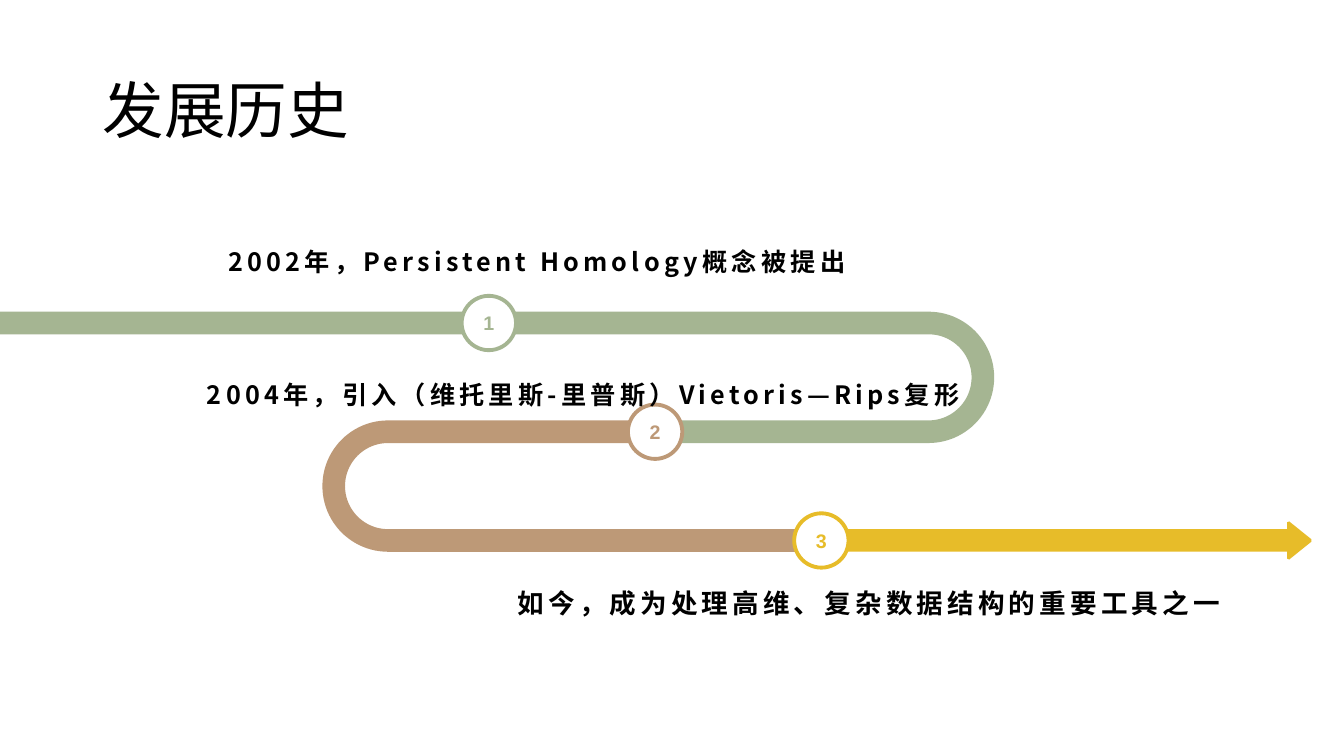
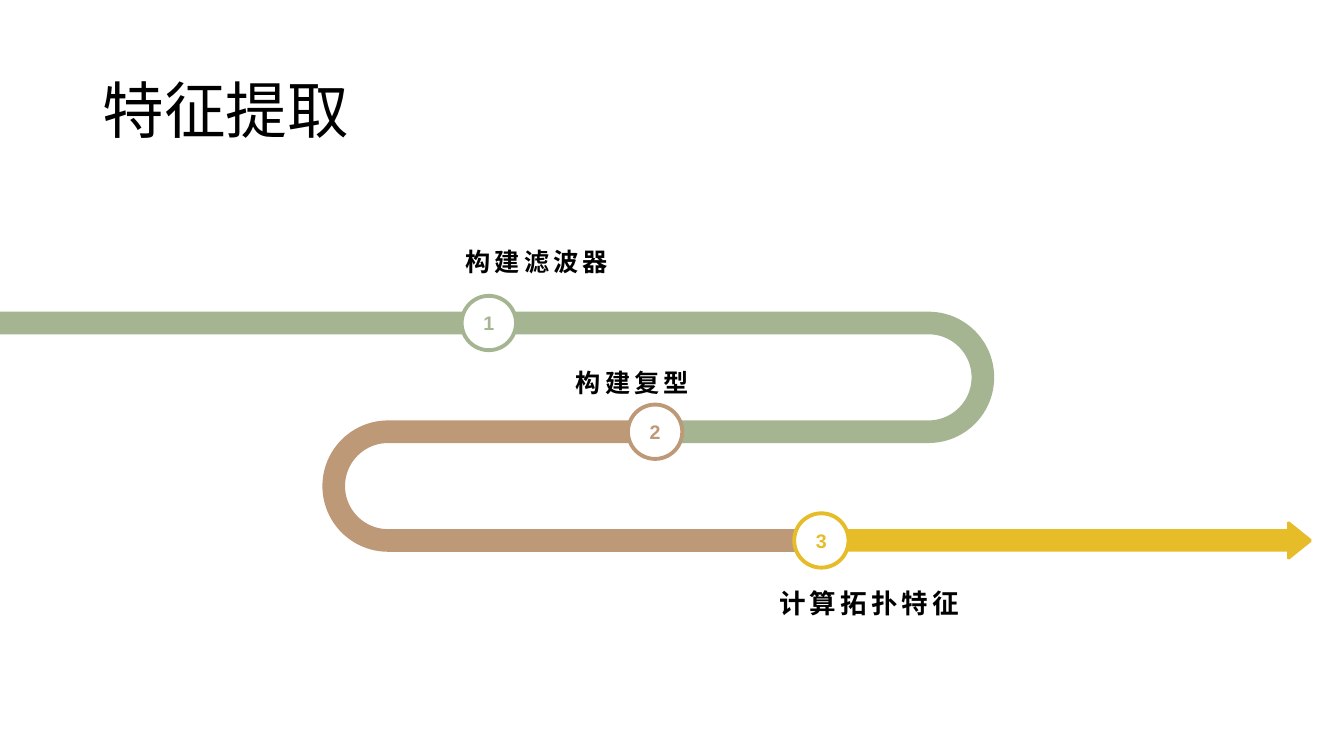
from math import cos, pi, sin

from lxml import etree
from pptx import Presentation
from pptx.dml.color import RGBColor
from pptx.enum.shapes import MSO_SHAPE
from pptx.enum.text import MSO_ANCHOR, MSO_AUTO_SIZE, PP_ALIGN
from pptx.oxml.ns import qn
from pptx.util import Cm, Pt

RECTANGLE, OVAL = MSO_SHAPE.RECTANGLE, MSO_SHAPE.OVAL
LEFT, CENTER = PP_ALIGN.LEFT, PP_ALIGN.CENTER
MIDDLE, BOTTOM = MSO_ANCHOR.MIDDLE, MSO_ANCHOR.BOTTOM
NO_AUTOFIT = MSO_AUTO_SIZE.NONE

BLACK = RGBColor(0x00, 0x00, 0x00)
WHITE = RGBColor(0xFF, 0xFF, 0xFF)
GREEN = RGBColor(0xA5, 0xB5, 0x92)
BROWN = RGBColor(0xBD, 0x99, 0x77)
YELLOW = RGBColor(0xE7, 0xBC, 0x29)
STEP_COLORS = [GREEN, BROWN, YELLOW]

TEXT_FONT = "Noto Sans CJK SC"
NUMBER_FONT = "Arial"

# Label boxes are left, top, width, height in centimetres.
FIRST_BOX = (4.55, 4.7, 17.96, 2.26)
LAST_BOX = (9.93, 14.45, 23.95, 1.14)

# Each label: wording, box, text size.
SLIDES = [
    ("发展历史", [
        ("2002年，Persistent Homology概念被提出", FIRST_BOX, 18),
        ("2004年，引入（维托里斯-里普斯）Vietoris—Rips复形",
         (4.72, 8.84, 19.96, 1.47), 18),
        ("如今，成为处理高维、复杂数据结构的重要工具之一", LAST_BOX, 19),
    ]),
    ("特征提取", [
        ("构建滤波器", FIRST_BOX, 18),
        ("构建复型", (6.48, 8.56, 18.92, 1.47), 18),
        ("计算拓扑特征", LAST_BOX, 19),
    ]),
]

# Road geometry in centimetres.
LANE_PITCH = 2.74
LANES = [8.14 + LANE_PITCH * row for row in range(3)]
ROAD_WIDTH = 0.57
# Each bend: colour, upper lane, upper end, bend centre, lower end, direction.
BENDS = [
    (GREEN, 0, 0, 23.4, 16.87, 1),
    (BROWN, 1, 16.87, 9.78, 20.17, -1),
]
ARC_STEPS = 48
ARROW_BAR = (20.83, 32.51)
# Upper half of the arrowhead: x, and height above the lane's middle.
ARROWHEAD = [(32.44, 0.46), (32.49, 0.48), (33.05, 0.03)]
MARKER_SIZE = 1.37
MARKER_CENTERS = [12.32 + 4.19 * step for step in range(3)]


def style_run(run, size, font, color, bold=False):
    run.font.size = Pt(size)
    run.font.bold = bold
    run.font.color.rgb = color
    run.font.name = font
    properties = run._r.get_or_add_rPr()
    etree.SubElement(properties, qn("a:ea")).set("typeface", font)


def clear_margins(frame):
    frame.margin_left = frame.margin_right = 0
    frame.margin_top = frame.margin_bottom = 0


def paint(shape, color):
    shape.fill.solid()
    shape.fill.fore_color.rgb = color
    shape.line.fill.background()
    shape.shadow.inherit = False


def add_polygon(slide, points, color):
    corners = [(Cm(x), Cm(y)) for x, y in points]
    builder = slide.shapes.build_freeform(*corners[0])
    builder.add_line_segments(corners[1:], close=True)
    paint(builder.convert_to_shape(), color)


def half_circle(center_x, center_y, radius, side):
    """Points from top to bottom, bulging right (1) or left (-1)."""
    angles = [pi * step / ARC_STEPS for step in range(ARC_STEPS + 1)]
    return [(center_x + side * radius * sin(angle),
             center_y - radius * cos(angle)) for angle in angles]


def add_bend(slide, color, lane, upper_end, center_x, lower_end, side):
    center_y = LANES[lane] + LANE_PITCH / 2
    outer = (LANE_PITCH + ROAD_WIDTH) / 2
    inner = (LANE_PITCH - ROAD_WIDTH) / 2
    points = [(upper_end, center_y - outer)]
    points += half_circle(center_x, center_y, outer, side)
    points += [(lower_end, center_y + outer), (lower_end, center_y + inner)]
    points += reversed(half_circle(center_x, center_y, inner, side))
    points.append((upper_end, center_y - inner))
    add_polygon(slide, points, color)


def add_arrow(slide):
    lane = LANES[-1]
    start, end = ARROW_BAR
    bar = slide.shapes.add_shape(RECTANGLE, Cm(start), Cm(lane - ROAD_WIDTH / 2),
                                 Cm(end - start), Cm(ROAD_WIDTH))
    paint(bar, YELLOW)
    head = [(x, lane - rise) for x, rise in ARROWHEAD]
    head += [(x, lane + rise) for x, rise in reversed(ARROWHEAD)]
    add_polygon(slide, head, YELLOW)


def add_marker(slide, number, center_x, center_y, color):
    marker = slide.shapes.add_shape(
        OVAL, Cm(center_x - MARKER_SIZE / 2), Cm(center_y - MARKER_SIZE / 2),
        Cm(MARKER_SIZE), Cm(MARKER_SIZE))
    paint(marker, WHITE)
    marker.line.color.rgb = color
    marker.line.width = Pt(2.75)
    frame = marker.text_frame
    clear_margins(frame)
    frame.vertical_anchor = MIDDLE
    para = frame.paragraphs[0]
    para.text = str(number)
    para.alignment = CENTER
    style_run(para.runs[0], 14, NUMBER_FONT, color, bold=True)


def add_label(slide, text, box, size):
    frame = slide.shapes.add_textbox(*map(Cm, box)).text_frame
    frame.word_wrap = True
    frame.vertical_anchor = BOTTOM
    clear_margins(frame)
    para = frame.paragraphs[0]
    para.text = text
    para.alignment = CENTER
    span = para.runs[0]
    style_run(span, size, TEXT_FONT, BLACK, bold=True)
    span._r.get_or_add_rPr().set("spc", "300")


def set_title(slide, text):
    title = slide.shapes.title
    title.left, title.top, title.width, title.height = map(
        Cm, (2.33, 1.01, 29.21, 3.68))
    frame = title.text_frame
    frame.text = text
    frame.auto_size = NO_AUTOFIT
    frame.vertical_anchor = MIDDLE
    para = frame.paragraphs[0]
    para.alignment = LEFT
    para.line_spacing = 0.9
    style_run(para.runs[0], 44, TEXT_FONT, BLACK)


def add_road_slide(deck, title, labels):
    slide = deck.slides.add_slide(deck.slide_layouts[5])
    set_title(slide, title)
    add_arrow(slide)
    for bend in BENDS:
        add_bend(slide, *bend)
    markers = zip(MARKER_CENTERS, LANES, STEP_COLORS)
    for number, marker in enumerate(markers, start=1):
        add_marker(slide, number, *marker)
    for label in labels:
        add_label(slide, *label)


def main():
    deck = Presentation()
    deck.slide_width, deck.slide_height = Cm(33.87), Cm(19.05)
    for title, labels in SLIDES:
        add_road_slide(deck, title, labels)
    deck.save("out.pptx")


if __name__ == "__main__":
    main()
